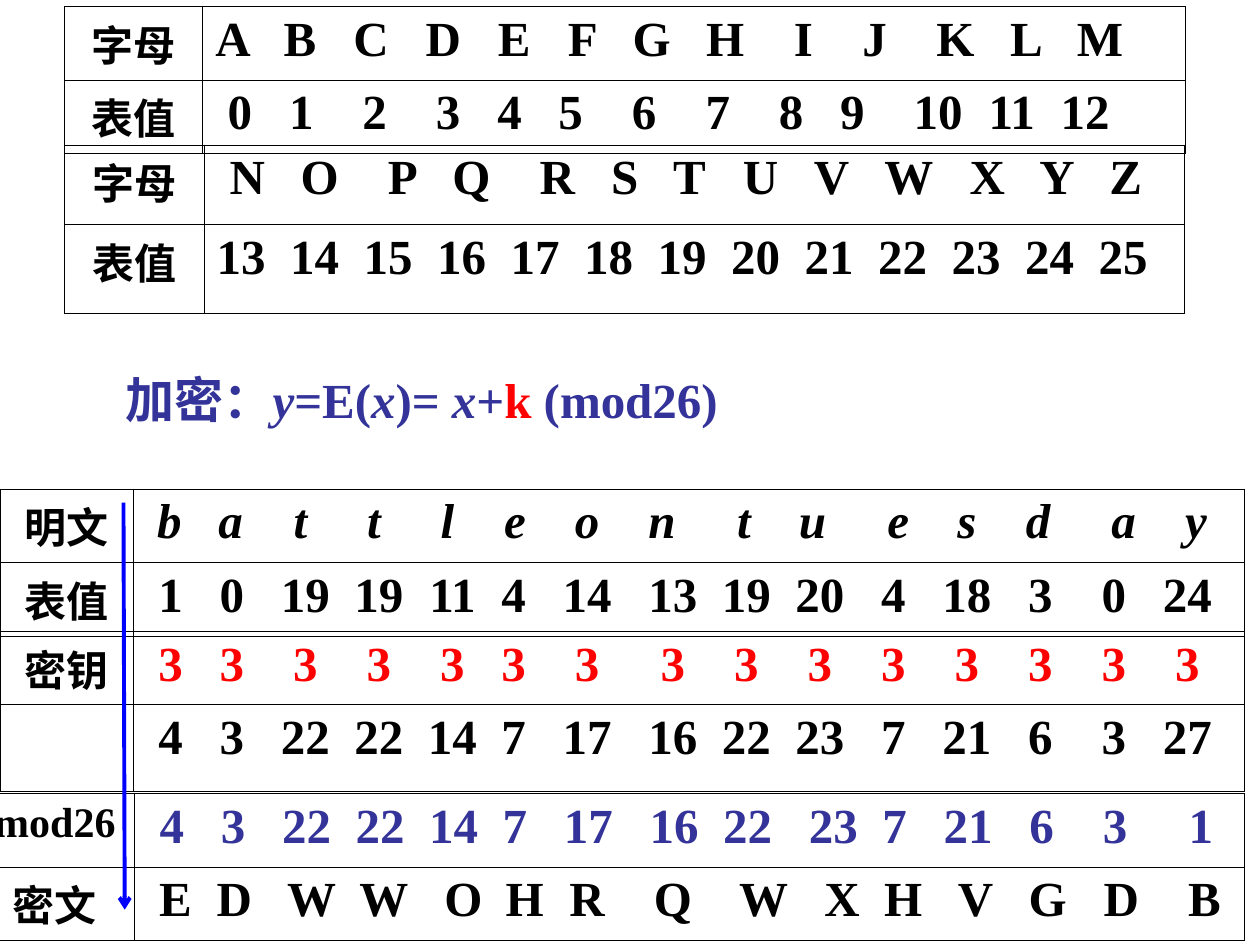
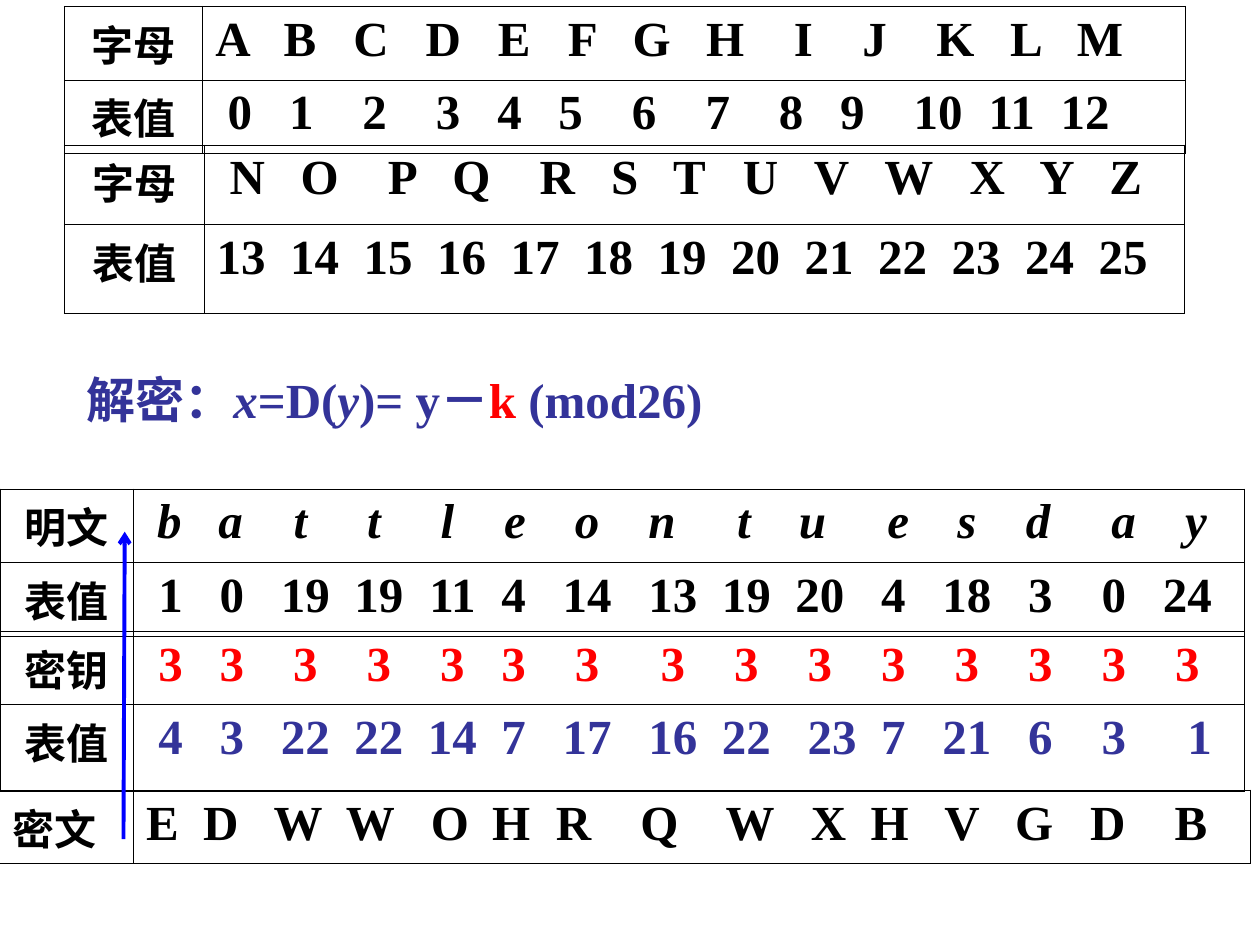
"""Two slides on a shift cipher: the letter tables, a formula and a worked message."""
from lxml import etree
from pptx import Presentation
from pptx.dml.color import RGBColor
from pptx.enum.shapes import MSO_CONNECTOR
from pptx.enum.text import PP_ALIGN
from pptx.oxml.ns import qn
from pptx.util import Inches, Pt

STRAIGHT = MSO_CONNECTOR.STRAIGHT
CENTER = PP_ALIGN.CENTER
FONT = "Times New Roman"
BLACK, RED, NAVY, BLUE = "000000", "FF0000", "333399", "0000FF"
LABEL_SIZE, VALUE_SIZE = 24, 28
STEP = Pt(VALUE_SIZE / 4)
EDGE = 0.45

# Column centres, in steps of half a digit from the left of the cell's text
A_TO_M = [1.4, 6.9, 12.7, 18.6, 24.4, 30, 35.6, 41.6, 48, 53.8, 60.4, 66.2, 72.2]
N_TO_Z = [2.5, 8.4, 15.2, 20.8, 27.8, 33.3, 38.6, 44.4, 50.2, 56.5, 62.9, 68.6, 74.2]
FIRST_CODES = [2, 7, 13, 19, 24, 29, 35, 41, 47, 52, 59, 65, 71]
LAST_CODES = range(2, 75, 6)
PLAIN = [1.9, 6.9, 12.6, 18.6, 24.6, 30.1, 36, 42.1, 48.8, 54.4, 61.4, 67, 72.8, 79.8, 85.7]
MESSAGE = [2, 7, 13, 19, 25, 30, 36, *range(43, 86, 6)]
REDUCED = [*MESSAGE[:9], 56, *MESSAGE[10:14], 86]
CIPHER = [2.3, 7.1, 13.4, 19.3, 25.8, 30.8, 35.9, 42.9, 50.3, 56.7, 61.7, 67.6, 73.5, 79.5, 86.3]
CIPHER_LEFT = [c - 1 for c in CIPHER]

# Row: label, values, centres, colour, italic
PLAIN_ROW = ("明文", "b a t t l e o n t u e s d a y", PLAIN, BLACK, True)
CODE_ROW = ("表值", "1 0 19 19 11 4 14 13 19 20 4 18 3 0 24", MESSAGE, BLACK, False)
KEY_ROW = ("密钥", " ".join("3" * 15), MESSAGE, RED, False)
SUM_ROW = ("", "4 3 22 22 14 7 17 16 22 23 7 21 6 3 27", MESSAGE, BLACK, False)
SHIFTED = "4 3 22 22 14 7 17 16 22 23 7 21 6 3 1"
CIPHER_TEXT = "E D W W O H R Q W X H V G D B"

# Table: left, top, column widths, row heights, rows
PLAIN_TABLE = (0, 3.88, (1.06, 8.82), (0.57, 0.57), [PLAIN_ROW, CODE_ROW])
KEY_PLACE = (0, 5.01, (1.06, 8.82), (0.57, 0.69))
LETTER_TABLES = [
    (0.51, 0.05, (1.1, 7.8), (0.57, 0.57), [
        ("字母", "A B C D E F G H I J K L M", A_TO_M, BLACK, False),
        ("表值", "0 1 2 3 4 5 6 7 8 9 10 11 12", FIRST_CODES, BLACK, False)]),
    (0.51, 1.15, (1.11, 7.78), (0.63, 0.71), [
        ("字母", "N O P Q R S T U V W X Y Z", N_TO_Z, BLACK, False),
        ("表值", "13 14 15 16 17 18 19 20 21 22 23 24 25", LAST_CODES, BLACK, False)]),
]

# Formula part: text, colour, italic
SLIDES = [
    {"tables": [
        PLAIN_TABLE,
        (*KEY_PLACE, [KEY_ROW, SUM_ROW]),
        (-0.2, 6.3, (1.27, 8.81), (0.58, 0.57), [
            ("mod26", SHIFTED, REDUCED, NAVY, False),
            ("密文", CIPHER_TEXT, CIPHER, BLACK, False)])],
     "formula_box": (0.9, 2.88, 7.75, 0.57),
     "formula": [("加密：", NAVY, False), ("y", NAVY, True), ("=E(", NAVY, False),
                 ("x", NAVY, True), (")= ", NAVY, False), ("x", NAVY, True),
                 ("+", NAVY, False), ("k ", RED, False), ("(mod26)", NAVY, False)],
     "arrow": (0.98, 3.99, 0.99, 7.22)},
    {"tables": [
        PLAIN_TABLE,
        (*KEY_PLACE, [KEY_ROW, ("表值", SHIFTED, REDUCED, NAVY, False)]),
        (-0.2, 6.27, (1.26, 8.86), (0.57,), [
            ("密文", CIPHER_TEXT, CIPHER_LEFT, BLACK, False)])],
     "formula_box": (0.59, 2.88, 8.74, 0.57),
     "formula": [("解密：", NAVY, False), ("x", NAVY, True), ("=D(", NAVY, False),
                 ("y", NAVY, True), (")= y－", NAVY, False), ("k ", RED, False),
                 ("(mod26)", NAVY, False)],
     "arrow": (0.98, 6.66, 0.99, 4.22)},
]


def rgb(color):
    return RGBColor.from_string(color)


def style_run(r, size, color, italic=False):
    r.font.name, r.font.size, r.font.bold = FONT, Pt(size), True
    r.font.italic = italic
    r.font.color.rgb = rgb(color)


def set_tabs(p, centres):
    tabs = etree.SubElement(p._p.get_or_add_pPr(), qn("a:tabLst"))
    for centre in centres:
        etree.SubElement(tabs, qn("a:tab"), pos=str(round(centre * STEP)), algn="ctr")


def style_cell(cell):
    tcPr = cell._tc.get_or_add_tcPr()
    for side in "LRTB":
        ln = etree.SubElement(tcPr, qn(f"a:ln{side}"), w=str(Pt(EDGE)))
        fill = etree.SubElement(ln, qn("a:solidFill"))
        etree.SubElement(fill, qn("a:srgbClr"), val=BLACK)
    cell.fill.background()


def add_rows(s, left, top, widths, heights, rows):
    frame = s.shapes.add_table(len(rows), 2, Inches(left), Inches(top),
                               Inches(sum(widths)), Inches(sum(heights)))
    table = frame.table
    table.first_row = table.horz_banding = False
    for column, width in zip(table.columns, widths):
        column.width = Inches(width)
    for row, height, (label, values, centres, color, italic) in zip(table.rows, heights, rows):
        row.height = Inches(height)
        label_cell, value_cell = row.cells
        style_cell(label_cell)
        style_cell(value_cell)
        p = label_cell.text_frame.paragraphs[0]
        p.text = label
        p.alignment = CENTER
        for r in p.runs:
            style_run(r, LABEL_SIZE, BLACK)
        p = value_cell.text_frame.paragraphs[0]
        set_tabs(p, centres)
        p.text = "".join("\t" + value for value in values.split())
        for r in p.runs:
            style_run(r, VALUE_SIZE, color, italic)


def add_formula(s, box, parts):
    tf = s.shapes.add_textbox(*map(Inches, box)).text_frame
    tf.word_wrap = True
    for text, color, italic in parts:
        r = tf.paragraphs[0].add_run()
        r.text = text
        style_run(r, VALUE_SIZE, color, italic)


def add_arrow(s, ends):
    arrow = s.shapes.add_connector(STRAIGHT, *map(Inches, ends))
    arrow.line.color.rgb = rgb(BLUE)
    arrow.line.width = Pt(2.25)
    etree.SubElement(arrow.line._get_or_add_ln(), qn("a:tailEnd"), type="arrow")
    etree.SubElement(arrow._element.spPr, qn("a:effectLst"))


def main():
    prs = Presentation()
    prs.slide_width, prs.slide_height = Inches(10), Inches(7.5)
    for content in SLIDES:
        s = prs.slides.add_slide(prs.slide_layouts[6])
        for table in content["tables"] + LETTER_TABLES:
            add_rows(s, *table)
        add_formula(s, content["formula_box"], content["formula"])
        add_arrow(s, content["arrow"])
    prs.save("out.pptx")


if __name__ == "__main__":
    main()
